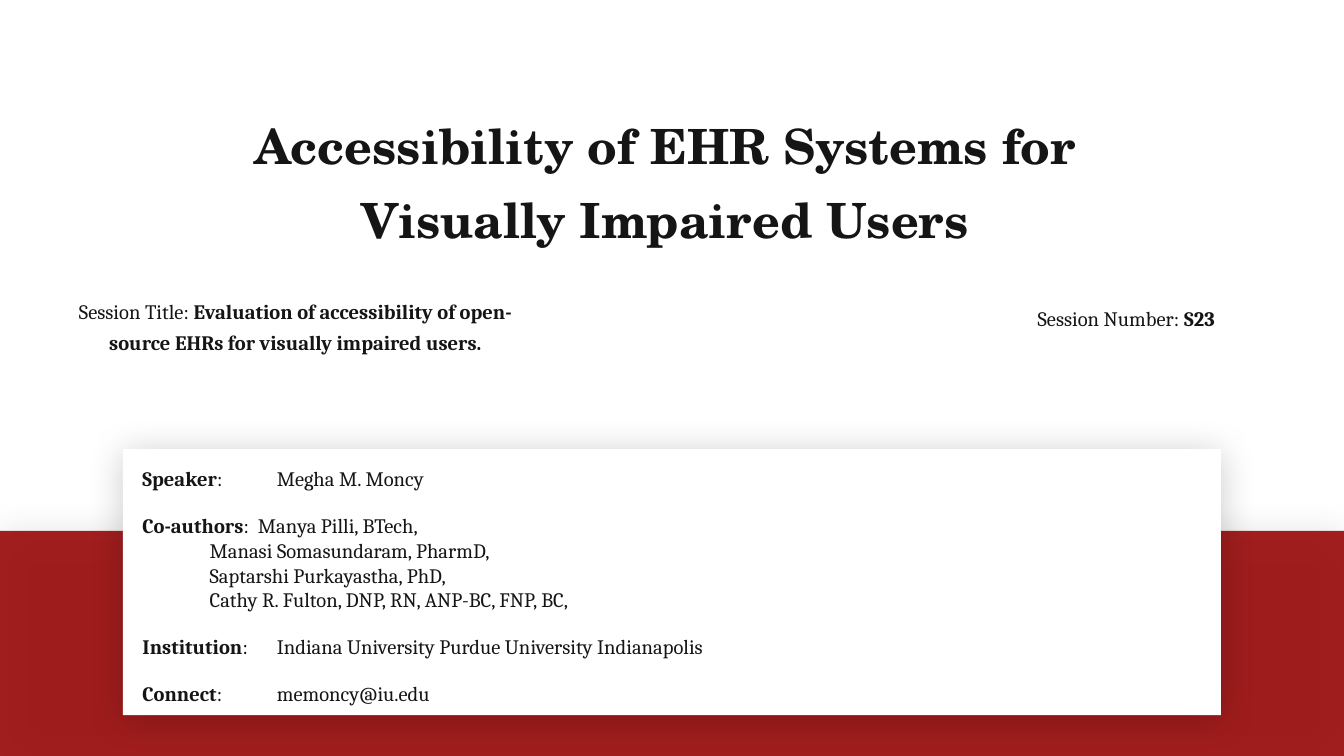
from dataclasses import dataclass

from lxml.etree import SubElement
from pptx import Presentation
from pptx.dml.color import RGBColor
from pptx.enum.shapes import MSO_SHAPE as Shape
from pptx.enum.text import MSO_ANCHOR as Anchor, MSO_AUTO_SIZE as AutoSize, PP_ALIGN as Align
from pptx.oxml.ns import qn
from pptx.util import Inches, Pt


@dataclass(frozen=True)
class Theme:
    """Colours, fonts, type sizes and slide size."""
    ink: str = "151515"
    red: str = "990808"
    white: str = "FFFFFF"
    shade: str = "000000"
    title_font: str = "TeX Gyre Schola"
    body_font: str = "Cambria"
    title_size: float = 26
    body_size: float = 11
    width: float = 10
    height: float = 10 * 9 / 16


THEME = Theme()
TITLE = "Accessibility of EHR Systems for Visually Impaired Users"
DETAILS = [
    ("Speaker", ": \tMegha M. Moncy", 12),
    ("Co-authors", ":  Manya Pilli, BTech,", 0),
    ("", "\tManasi Somasundaram, PharmD,", 0),
    ("", "\tSaptarshi Purkayastha, PhD,", 0),
    ("", "\tCathy R. Fulton, DNP, RN, ANP-BC, FNP, BC,", 12),
    ("Institution", ":\tIndiana University Purdue University Indianapolis", 12),
    ("Connect", ":\tmemoncy@iu.edu", 12),
]
SESSION = [
    ("Session Title:", " Evaluation of accessibility of open-source EHRs for visually impaired users.",
     (4, 38.62, 36, 12.44), 16.9),
    ("Session Number:", " S23", (68.8, 38.76, 30, 4.98), 20.2),
]


def apply(target, values):
    """Set every attribute named in a dict of format values."""
    for name, value in values.items():
        setattr(target, name, value)


def place(left, top, width, height):
    """Turn percentages of the slide into lengths."""
    across, down = THEME.width / 100, THEME.height / 100
    return [Inches(share * unit) for share, unit in
            ((left, across), (top, down), (width, across), (height, down))]


def add_opacity(color, percent):
    """Give a colour element an opacity."""
    SubElement(color, qn("a:alpha"), val=str(percent * 1000))


def add_panel(page, area, color, opacity, shade_opacity):
    """Add a borderless rectangle with a soft shadow."""
    panel = page.shapes.add_shape(Shape.RECTANGLE, *place(*area))
    panel.fill.solid()
    panel.fill.fore_color.rgb = RGBColor.from_string(color)
    panel.line.fill.background()
    panel.shadow.inherit = False
    properties = panel._element.spPr
    add_opacity(properties.find(".//" + qn("a:srgbClr")), opacity)
    shadow = SubElement(properties.find(qn("a:effectLst")), qn("a:outerShdw"),
                        blurRad=str(Pt(20)), dist=str(Pt(2)), dir="5400000", rotWithShape="0")
    add_opacity(SubElement(shadow, qn("a:srgbClr"), val=THEME.shade), shade_opacity)


def set_frame(box, area):
    """Position a text box or placeholder and clear its margins."""
    apply(box, dict(zip(("left", "top", "width", "height"), place(*area))))
    apply(box.text_frame, {
        "margin_left": 0, "margin_top": 0, "margin_right": 0, "margin_bottom": 0,
        "word_wrap": True, "auto_size": AutoSize.NONE, "vertical_anchor": Anchor.TOP})


def write(para, spans, font, size, **layout):
    """Fill a paragraph with (text, bold) spans."""
    apply(para, {"space_before": Pt(0), **layout})
    for text, bold in spans:
        if text:
            span = para.add_run()
            span.text = text
            apply(span.font, {"name": font, "size": Pt(size), "bold": bold})
            span.font.color.rgb = RGBColor.from_string(THEME.ink)


def add_tab_stop(para, position):
    """Give a paragraph a left tab stop."""
    stops = SubElement(para._p.get_or_add_pPr(), qn("a:tabLst"))
    SubElement(stops, qn("a:tab"), pos=str(position), algn="l")


def fill_title(page):
    """Write the title."""
    box = page.shapes.title
    set_frame(box, (14.5, 13.33, 70, 19.38))
    write(box.text_frame.paragraphs[0], [(TITLE, True)], THEME.title_font, THEME.title_size,
          alignment=Align.CENTER, line_spacing=Pt(39.4))


def fill_details(page):
    """Write the speaker details in the body placeholder."""
    box = page.placeholders[1]
    set_frame(box, (10.6, 61.69, 78.7, 31.64))
    for index, (label, text, gap) in enumerate(DETAILS):
        frame = box.text_frame
        para = frame.add_paragraph() if index else frame.paragraphs[0]
        write(para, [(label, True), (text, False)], THEME.body_font, THEME.body_size,
              alignment=Align.LEFT, space_after=Pt(gap))
        add_tab_stop(para, Inches(THEME.width / 10))
    page.shapes._spTree.append(box._element)


def add_session(page, label, text, area, pitch):
    """Add one centred session label with its bold value."""
    box = page.shapes.add_textbox(*place(*area))
    set_frame(box, area)
    write(box.text_frame.paragraphs[0], [(label, False), (text, True)], THEME.body_font,
          THEME.body_size, alignment=Align.CENTER, line_spacing=Pt(pitch))


def main():
    """Build the title slide."""
    deck = Presentation()
    apply(deck, {"slide_width": Inches(THEME.width), "slide_height": Inches(THEME.height)})
    page = deck.slides.add_slide(deck.slide_layouts[0])
    fill_title(page)
    add_panel(page, (0, 70.24, 100, 29.76), THEME.red, 90, 14)
    add_panel(page, (9.15, 59.4, 81.7, 35.2), THEME.white, 100, 20)
    fill_details(page)
    for entry in SESSION:
        add_session(page, *entry)
    deck.save("out.pptx")


if __name__ == "__main__":
    main()
